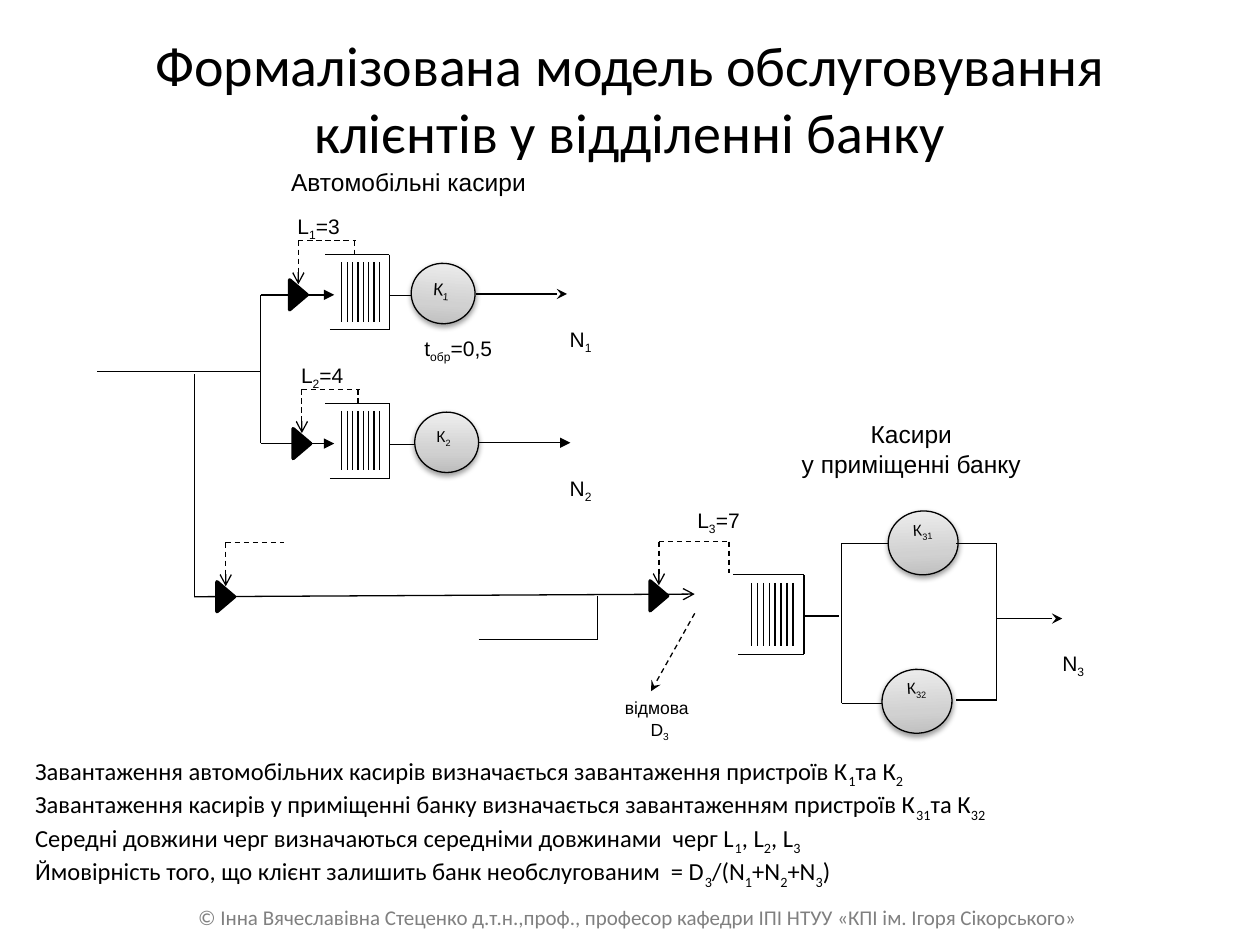
from lxml import etree
from pptx import Presentation
from pptx.dml.color import RGBColor
from pptx.enum.dml import MSO_LINE
from pptx.enum.shapes import MSO_CONNECTOR, MSO_SHAPE
from pptx.enum.text import MSO_ANCHOR, PP_ALIGN
from pptx.oxml import parse_xml
from pptx.oxml.ns import qn
from pptx.util import Pt

LEFT, CENTER = PP_ALIGN.LEFT, PP_ALIGN.CENTER
TOP, MIDDLE = MSO_ANCHOR.TOP, MSO_ANCHOR.MIDDLE
RECTANGLE, OVAL = MSO_SHAPE.RECTANGLE, MSO_SHAPE.OVAL
TRIANGLE = MSO_SHAPE.ISOSCELES_TRIANGLE
STRAIGHT, DASH = MSO_CONNECTOR.STRAIGHT, MSO_LINE.DASH
BLACK, WHITE, GRAY = "000000", "FFFFFF", "808080"
NAMESPACE = 'xmlns:a="http://schemas.openxmlformats.org/drawingml/2006/main"'
GRADIENT = (
    f'<a:gradFill {NAMESPACE} rotWithShape="1"><a:gsLst>'
    '<a:gs pos="0"><a:srgbClr val="BDBDBD"/></a:gs>'
    '<a:gs pos="35000"><a:srgbClr val="D1D1D1"/></a:gs>'
    '<a:gs pos="100000"><a:srgbClr val="EEEEEE"/></a:gs>'
    '</a:gsLst><a:lin ang="16200000" scaled="1"/></a:gradFill>'
)
SHADOW = (
    f'<a:outerShdw {NAMESPACE} blurRad="40000" dist="20000" dir="5400000" rotWithShape="0">'
    '<a:srgbClr val="000000"><a:alpha val="38000"/></a:srgbClr></a:outerShdw>'
)


def color(value):
    return RGBColor.from_string(value)


def write(shape, paragraphs, size, font="Arial", alignments=(LEFT,), inset=True, ink=BLACK):
    """Odd parts between bars are subscripts."""
    text_frame = shape.text_frame
    text_frame.word_wrap = True
    text_frame.vertical_anchor = TOP
    if not inset:
        text_frame.margin_left = text_frame.margin_right = Pt(0)
        text_frame.margin_top = text_frame.margin_bottom = Pt(0)
    for index, text in enumerate(paragraphs):
        paragraph = text_frame.add_paragraph() if index else text_frame.paragraphs[0]
        paragraph.alignment = alignments[index % len(alignments)]
        for position, part in enumerate(text.split("|")):
            if not part:
                continue
            run = paragraph.add_run()
            run.text = part
            run.font.size = Pt(size)
            run.font.name = font
            run.font.color.rgb = color(ink)
            if position % 2:
                run.font._element.set("baseline", "-25000")


def add_shape(slide, kind, left, top, width, height, line, weight=0.75, fill=None):
    shape = slide.shapes.add_shape(kind, Pt(left), Pt(top), Pt(width), Pt(height))
    if fill:
        shape.fill.solid()
        shape.fill.fore_color.rgb = color(fill)
    shape.line.color.rgb = color(line)
    shape.line.width = Pt(weight)
    shape.shadow.inherit = False
    return shape


def add_label(slide, left, top, width, height, paragraphs, size=12, **options):
    shape = add_shape(slide, RECTANGLE, left, top, width, height, WHITE, fill=WHITE)
    write(shape, paragraphs, size, **options)


def add_line(slide, x1, y1, x2, y2, head=None, dashed=False):
    connector = slide.shapes.add_connector(STRAIGHT, Pt(x1), Pt(y1), Pt(x2), Pt(y2))
    connector.line.color.rgb = color(BLACK)
    connector.line.width = Pt(0.75)
    if dashed:
        connector.line.dash_style = DASH
    if head:
        etree.SubElement(connector.line._get_or_add_ln(), qn("a:tailEnd"), type=head)
    etree.SubElement(connector._element.spPr, qn("a:effectLst"))


def add_device(slide, left, top, width, height, text, size, rotation=0, **options):
    shape = add_shape(slide, OVAL, left, top, width, height, BLACK)
    shape.rotation = rotation
    properties = shape._element.spPr
    properties.insert(2, parse_xml(GRADIENT))
    properties.find(qn("a:effectLst")).append(parse_xml(SHADOW))
    write(shape, [text], size, **options)


def add_queue(slide, left, top, width, height):
    right, bottom = left + width, top + height
    for index in range(8):
        x = left + width * (0.255 + 0.084 * index)
        add_line(slide, x, top + 0.1 * height, x, top + 0.89 * height)
    add_line(slide, left + 0.07 * width, bottom, right, bottom)
    add_line(slide, left, top, right, top)
    add_line(slide, right, top, right, bottom)


def add_valve(slide, x, y, loop_width, drop):
    loop_top = y - 31
    add_line(slide, x, loop_top, x, y - 6, "arrow", True)
    add_line(slide, x, loop_top, x + loop_width, loop_top, dashed=True)
    if drop:
        add_line(slide, x + loop_width - 1, loop_top, x + loop_width - 1, loop_top + drop, dashed=True)
    shape = add_shape(slide, TRIANGLE, x - 8.5, y - 5, 17, 10, BLACK, 2, BLACK)
    shape.rotation = 90
    etree.SubElement(shape.line._get_or_add_ln(), qn("a:round"))


def add_title(slide, left, top, width, height, text):
    title = slide.shapes.title
    title.left, title.top, title.width, title.height = Pt(left), Pt(top), Pt(width), Pt(height)
    title.text_frame.text = text
    title.text_frame.vertical_anchor = MIDDLE
    paragraph = title.text_frame.paragraphs[0]
    paragraph.alignment = CENTER
    font = paragraph.runs[0].font
    font.size, font.name, font.color.rgb = Pt(32), "Calibri", color(BLACK)


def add_car_desk(slide, left, top, number, limit, size, rotation, head, shift):
    axis = top + 46.5
    add_label(slide, left + 21 + shift, top, 26.5, 17, [f"L|{number}|={limit}"], inset=False)
    add_line(slide, left, axis, left + 42, axis, "triangle")
    add_queue(slide, left + 37, top + 23.5, 36.5, 43)
    add_line(slide, left + 73.5, axis + 0.5, left + 86 + shift, axis + 0.5)
    add_device(slide, left + 86 + shift, top + 28.5, 36.5, 34.5, f"К|{number}", size, rotation)
    add_line(slide, left + 123 + shift, axis - 0.5, left + 175 + shift, axis - 0.5, head)
    add_valve(slide, left + 21.5 + shift, axis, 33, 9)
    add_label(slide, left + 176.5, top + 64.5, 26.5, 17, [f"N|{number}"], inset=False)


def add_entrance(slide, left, top):
    branch, hall_axis = left + 55.5, top + 128.5
    add_line(slide, left, top, left + 93.5, top)
    add_line(slide, left + 93.5, top - 44, left + 93.5, top + 40.5)
    add_line(slide, branch, top + 1.5, branch, hall_axis)
    add_line(slide, branch, hall_axis, left + 341.5, hall_axis - 1.5, "arrow")
    add_valve(slide, left + 73.5, hall_axis, 33, 0)
    add_line(slide, left + 218, top + 153, left + 286, top + 153)
    add_line(slide, left + 286, top + 128, left + 286, top + 153)


def add_hall(slide, left, top):
    fork, join = left + 111, left + 199.5
    upper, lower = top + 74.5, top + 165
    add_label(slide, left + 65.5, top, 170.5, 54.5, ["Касири", "у приміщенні банку"], 14,
              alignments=(CENTER,))
    add_label(slide, left + 28.5, top + 54, 33, 11.5, ["L|3|=7"], inset=False)
    add_queue(slide, left + 49, top + 92.5, 40.5, 45.5)
    add_line(slide, left + 89.5, top + 116, left + 109.5, top + 116)
    add_line(slide, fork, upper, fork, lower + 1)
    for y, x, number, rotation in ((upper, 137.5, 31, 356.9), (lower, 134, 32, 356.8)):
        add_device(slide, left + x, y - 18.5, 40, 36.5, f"К|{number}", 9, rotation,
                   alignments=(CENTER,), inset=False)
    add_line(slide, fork, upper, left + 138, upper)
    add_line(slide, fork, lower + 1, left + 134, lower + 1)
    add_line(slide, join, upper, join, lower - 1)
    for y in (upper, lower - 1):
        add_line(slide, left + 156.5 + 20, y, join, y)
    add_line(slide, join, top + 117.5, left + 237, top + 117.5, "stealth")
    add_label(slide, left + 237, top + 135.5, 26.5, 17, ["N|3"], inset=False)
    add_label(slide, left - 20, top + 159, 54, 32, ["відмова", "D|3"], 10, alignments=(LEFT, CENTER))
    add_valve(slide, left + 6.5, top + 104.5, 41, 18)
    add_line(slide, left + 27, top + 114.5, left + 2, top + 159, "stealth", True)


def add_text(slide, left, top, width, height, paragraphs, size, **options):
    box = slide.shapes.add_textbox(Pt(left), Pt(top), Pt(width), Pt(height))
    write(box, paragraphs, size, font="Calibri", **options)


def main():
    presentation = Presentation()
    presentation.slide_width, presentation.slide_height = Pt(720), Pt(540)
    slide = presentation.slides.add_slide(presentation.slide_layouts[5])
    add_title(slide, 36, 11, 648, 90, "Формалізована модель обслуговування клієнтів у відділенні банку")
    add_label(slide, 158.5, 92, 150, 49, ["Автомобільні касири"], 14, alignments=(CENTER,))
    add_label(slide, 242.5, 191.5, 57.5, 22.5, ["t|обр|=0,5"], inset=False)
    add_car_desk(slide, 149, 122, 1, 3, 10, 3.9, "stealth", 0)
    add_car_desk(slide, 149, 207, 2, 4, 9, 0, "triangle", 2)
    add_entrance(slide, 55.5, 212.5)
    add_hall(slide, 370, 236)
    add_text(slide, 13, 428.5, 692.5, 92, [
        "Завантаження автомобільних касирів визначається завантаження пристроїв К|1|та К|2",
        "Завантаження касирів у приміщенні банку визначається завантаженням пристроїв К|31|та К|32",
        "Середні довжини черг визначаються середніми довжинами  черг L|1|, L|2|, L|3",
        "Ймовірність того, що клієнт залишить банк необслугованим  = D|3|/(N|1|+N|2|+N|3|)",
    ], 14)
    add_text(slide, 40.5, 513.5, 648, 21.5, [
        "© Інна Вячеславівна Стеценко д.т.н.,проф., професор кафедри ІПІ НТУУ «КПІ ім. Ігоря Сікорського»",
    ], 12, alignments=(CENTER,), ink=GRAY)
    presentation.save("out.pptx")


if __name__ == "__main__":
    main()
